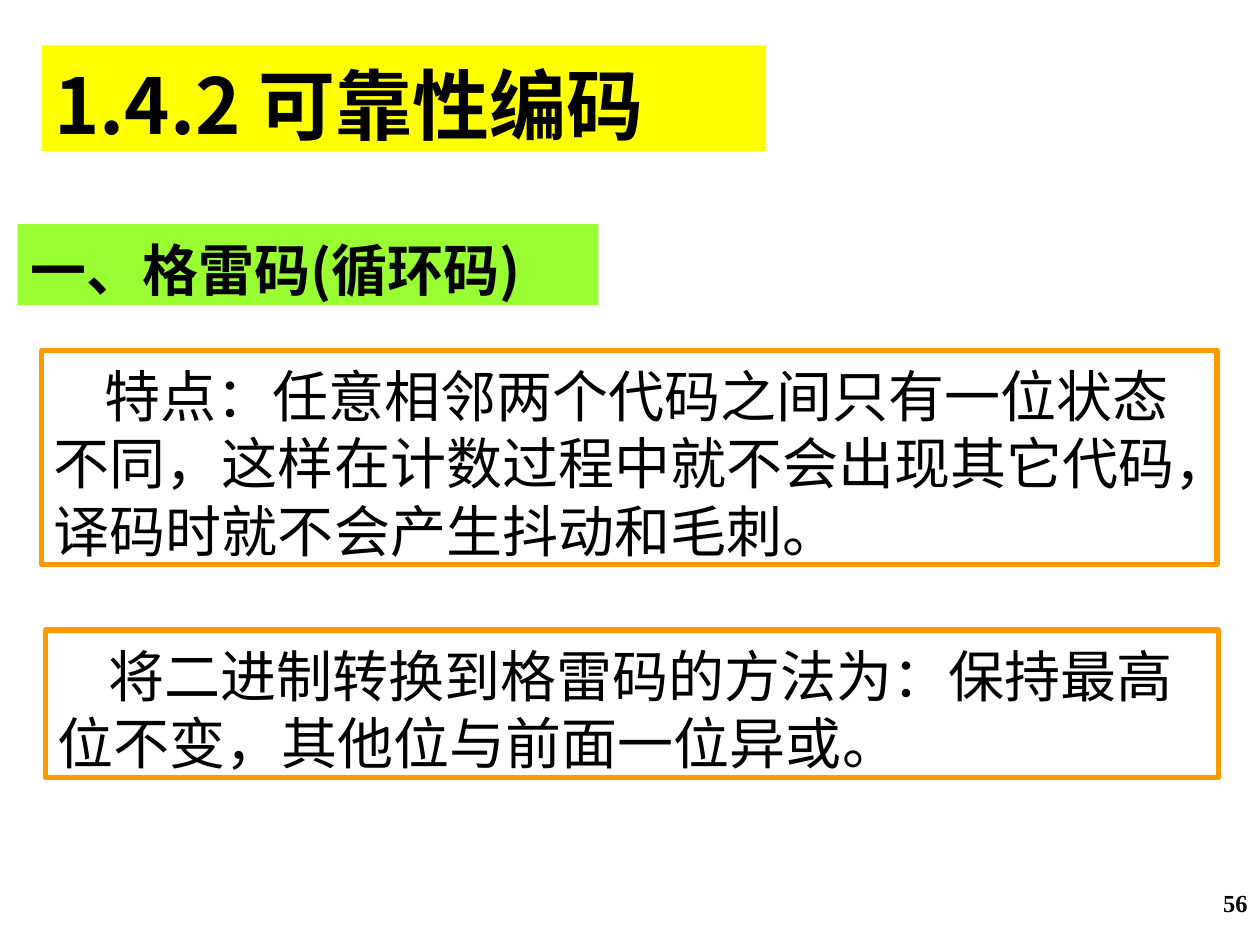
from pptx import Presentation
from pptx.dml.color import RGBColor
from pptx.enum.text import MSO_ANCHOR, MSO_AUTO_SIZE, PP_ALIGN
from pptx.util import Inches, Pt

BLACK = RGBColor(0x00, 0x00, 0x00)
YELLOW = RGBColor(0xFF, 0xFF, 0x00)
GREEN = RGBColor(0x99, 0xFF, 0x33)
ORANGE = RGBColor(0xFF, 0x99, 0x00)
SANS, SERIF = "Noto Sans CJK SC", "Times New Roman"
LINE_HEIGHT = 1.2

TITLE = ("1.4.2 可靠性编码", (0.33, 0.36, 5.75, 0.84))
SUBTITLE = ("一、格雷码(循环码)", (0.14, 1.78, 4.61, 0.64))
PANELS = [
    ("特点：任意相邻两个代码之间只有一位状态不同，这样在计数过程中就不会出现其它代码，译码时就不会产生抖动和毛刺。",
     (0.33, 2.78, 9.33, 1.7)),
    ("将二进制转换到格雷码的方法为：保持最高位不变，其他位与前面一位异或。",
     (0.36, 5, 9.31, 1.17)),
]
PAGE_NUMBER = ("56", (7.92, 7, 2.08, 0.5))


def write(box, content, size, bold=False, font=SANS, align=PP_ALIGN.LEFT,
          anchor=MSO_ANCHOR.TOP, wrap=True, indent=0):
    """Place a box and fill it with one formatted paragraph."""
    text, place = content
    box.left, box.top, box.width, box.height = map(Inches, place)
    frame = box.text_frame
    frame.text = text
    frame.auto_size = MSO_AUTO_SIZE.NONE
    frame.word_wrap = wrap
    frame.vertical_anchor = anchor
    frame.margin_left = frame.margin_right = Inches(0.1)
    para = frame.paragraphs[0]
    para.alignment = align
    para.space_before = Pt(0)
    if font == SANS:
        frame.margin_top, frame.margin_bottom = Inches(0.09), Inches(0.01)
        para.line_spacing = Pt(size * LINE_HEIGHT)
    if indent:
        properties = para._p.get_or_add_pPr()
        properties.set("marL", "0")
        properties.set("indent", str(Inches(indent)))
    span = para.runs[0]
    span.font.name, span.font.size, span.font.bold = font, Pt(size), bold
    span.font.color.rgb = BLACK
    east_asian = span._r.get_or_add_rPr().makeelement(
        "{http://schemas.openxmlformats.org/drawingml/2006/main}ea", {"typeface": font})
    span.font._rPr.append(east_asian)


def paint(box, color):
    """Fill a box with one colour."""
    box.fill.solid()
    box.fill.fore_color.rgb = color


def main():
    """Build the slide on reliable codes."""
    deck = Presentation()
    deck.slide_width, deck.slide_height = Inches(10), Inches(7.5)
    page = deck.slides.add_slide(deck.slide_layouts[5])

    def new_box():
        return page.shapes.add_textbox(0, 0, 0, 0)

    title = page.shapes.title
    write(title, TITLE, 44, bold=True, anchor=MSO_ANCHOR.BOTTOM)
    paint(title, YELLOW)

    subtitle = new_box()
    write(subtitle, SUBTITLE, 32, bold=True, wrap=False)
    paint(subtitle, GREEN)

    for content in PANELS:
        panel = new_box()
        write(panel, content, 32, indent=0.4)
        panel.line.color.rgb = ORANGE
        panel.line.width = Pt(3)

    write(new_box(), PAGE_NUMBER, 14, bold=True, font=SERIF, align=PP_ALIGN.RIGHT)
    deck.save("out.pptx")


if __name__ == "__main__":
    main()
